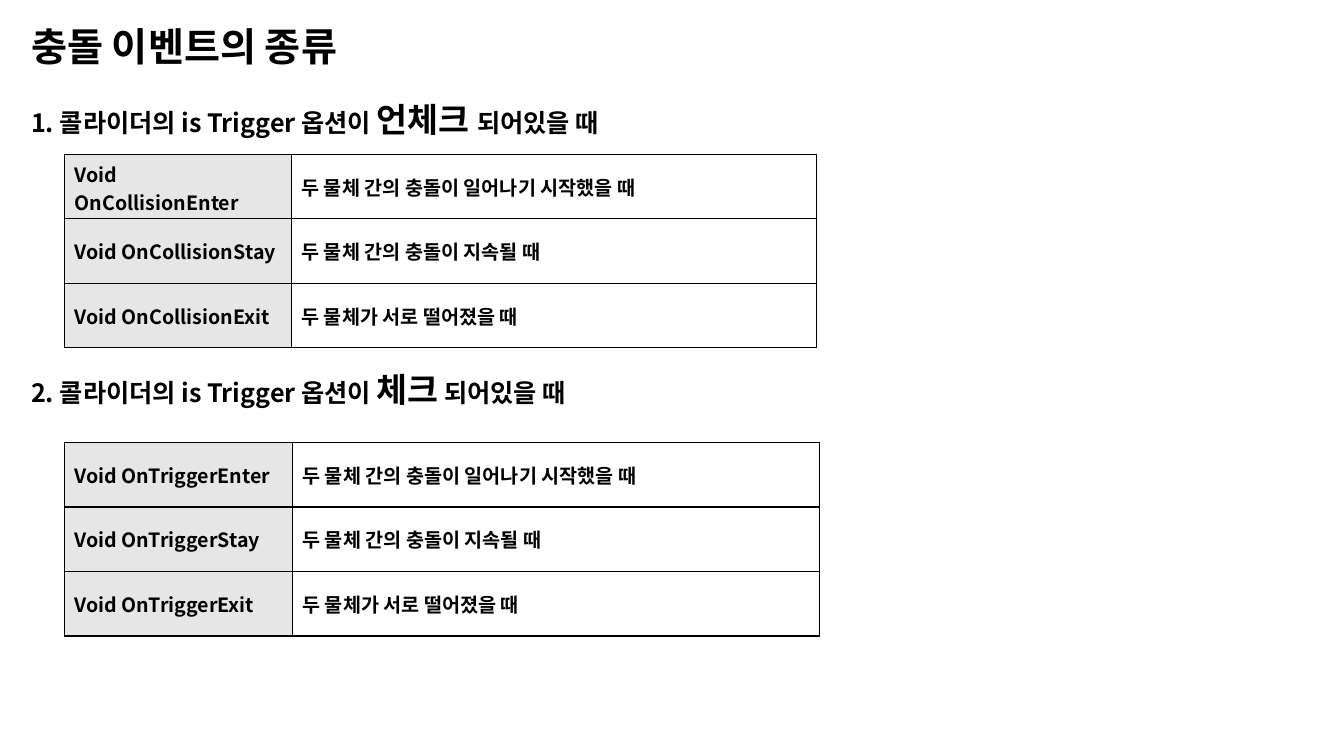
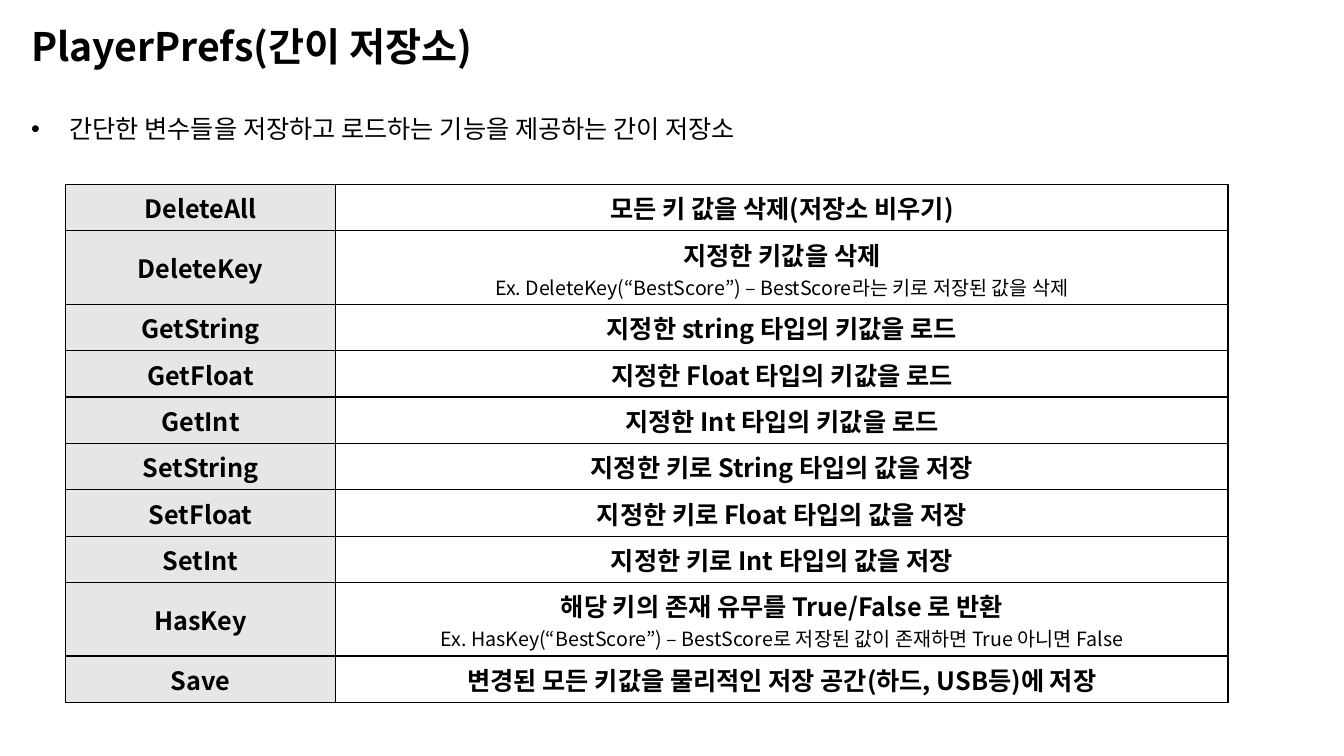
from dataclasses import dataclass

import pptx
import pptx.dml.color
import pptx.enum.text
import pptx.oxml
import pptx.oxml.ns
import pptx.slide
import pptx.table
import pptx.text.text
import pptx.util
from lxml import etree

Inches = pptx.util.Inches
Pt = pptx.util.Pt
Color = pptx.dml.color.RGBColor
Align = pptx.enum.text.PP_ALIGN
Anchor = pptx.enum.text.MSO_ANCHOR
qn = pptx.oxml.ns.qn


@dataclass(frozen=True)
class Theme:
    font: str = "Noto Sans CJK KR"
    ink: str = "000000"
    paper: str = "FFFFFF"
    label: str = "E7E6E6"
    title: int = 28
    accent: int = 24
    body: int = 18
    small: int = 14
    border: float = 1


THEME = Theme()


@dataclass(frozen=True)
class Run:
    text: str
    size: int = THEME.body
    bold: bool = True


@dataclass(frozen=True)
class Row:
    name: str
    text: str
    note: str = ""


@dataclass(frozen=True)
class Grid:
    left: float
    top: float
    cols: tuple[float, float]
    rows: tuple[Row, ...]
    size: int
    height: float
    tall: float = 0.73
    align: Align = Align.LEFT


def write(para: pptx.text.text._Paragraph, runs: list[Run]) -> None:
    for item in runs:
        run = para.add_run()
        run.text = item.text
        font = run.font
        font.name = THEME.font
        font.size = Pt(item.size)
        font.bold = item.bold
        font.color.rgb = Color.from_string(THEME.ink)
        asian = etree.SubElement(run._r.get_or_add_rPr(), qn("a:ea"))
        asian.set("typeface", THEME.font)


def add_text(slide: pptx.slide.Slide, top: float, width: float, height: float,
             runs: list[Run]) -> pptx.text.text._Paragraph:
    box = slide.shapes.add_textbox(Inches(0.21), Inches(top), Inches(width), Inches(height))
    box.text_frame.word_wrap = True
    para = box.text_frame.paragraphs[0]
    write(para, runs)
    return para


def add_title(slide: pptx.slide.Slide, text: str) -> None:
    add_text(slide, 0.17, 6.62, 0.57, [Run(text, THEME.title)])


def add_line(slide: pptx.slide.Slide, top: float,
             runs: list[Run]) -> pptx.text.text._Paragraph:
    """Add a line of body text across the slide."""
    return add_text(slide, top, 12.38, 0.5, runs)


def bullet(para: pptx.text.text._Paragraph) -> None:
    para.line_spacing = 1.5
    props = para._p.get_or_add_pPr()
    props.set("marL", str(Inches(0.38)))
    props.set("indent", str(-Inches(0.38)))
    etree.SubElement(props, qn("a:buFont")).set("typeface", "Arial")
    etree.SubElement(props, qn("a:buChar")).set("char", "•")


def frame(cell: pptx.table._Cell) -> None:
    """Draw the four borders of a cell."""
    props = cell._tc.get_or_add_tcPr()
    for place, side in enumerate("LRTB"):
        line = etree.Element(qn(f"a:ln{side}"), w=str(Pt(THEME.border)))
        fill = etree.SubElement(line, qn("a:solidFill"))
        etree.SubElement(fill, qn("a:srgbClr")).set("val", THEME.ink)
        props.insert(place, line)


def fill_cell(cell: pptx.table._Cell, runs: list[Run], color: str, align: Align) -> None:
    """Set a cell's look and write one paragraph per run."""
    cell.fill.solid()
    cell.fill.fore_color.rgb = Color.from_string(color)
    cell.vertical_anchor = Anchor.MIDDLE
    frame(cell)
    body = cell.text_frame
    for index, run in enumerate(runs):
        para = body.add_paragraph() if index else body.paragraphs[0]
        para.alignment = align
        write(para, [run])


def add_grid(slide: pptx.slide.Slide, grid: Grid) -> None:
    sizes = [grid.tall if row.note else grid.height for row in grid.rows]
    table = slide.shapes.add_table(
        len(grid.rows), len(grid.cols), Inches(grid.left), Inches(grid.top),
        Inches(sum(grid.cols)), Inches(sum(sizes))).table
    table.first_row = table.horz_banding = False
    for column, width in zip(table.columns, grid.cols):
        column.width = Inches(width)
    for index, (row, size) in enumerate(zip(grid.rows, sizes)):
        table.rows[index].height = Inches(size)
        texts = [Run(row.text, grid.size)]
        if row.note:
            texts.append(Run(row.note, THEME.small, False))
        fill_cell(table.cell(index, 0), [Run(row.name, grid.size)], THEME.label, grid.align)
        fill_cell(table.cell(index, 1), texts, THEME.paper, grid.align)


def add_events(slide: pptx.slide.Slide, kind: str, top: float,
               cols: tuple[float, float]) -> None:
    """Add the table of the enter, stay and exit events of one kind."""
    phases = (
        ("Enter", "두 물체 간의 충돌이 일어나기 시작했을 때"),
        ("Stay", "두 물체 간의 충돌이 지속될 때"),
        ("Exit", "두 물체가 서로 떨어졌을 때"),
    )
    rows = tuple(Row(f"Void On{kind}{phase}", text) for phase, text in phases)
    add_grid(slide, Grid(0.64, top, cols, rows, THEME.small, 0.64))


def add_events_slide(slide: pptx.slide.Slide) -> None:
    add_title(slide, "충돌 이벤트의 종류")
    heads = ((0.93, "1", "언체크 ", "되어있을 때"), (3.61, "2", "체크", " 되어있을 때"))
    for top, number, state, tail in heads:
        add_line(slide, top, [Run(f"{number}. 콜라이더의 is Trigger 옵션이 "),
                              Run(state, THEME.accent), Run(tail)])
    add_events(slide, "Collision", 1.53, (2.25, 5.21))
    add_events(slide, "Trigger", 4.39, (2.26, 5.23))


def add_prefs_slide(slide: pptx.slide.Slide) -> None:
    add_title(slide, "PlayerPrefs(간이 저장소)")
    intro = "간단한 변수들을 저장하고 로드하는 기능을 제공하는 간이 저장소"
    bullet(add_line(slide, 0.93, [Run(intro, bold=False)]))
    loads = [Row(f"Get{kind}", f"지정한 {word} 타입의 키값을 로드")
             for kind, word in (("String", "string"), ("Float", "Float"), ("Int", "Int"))]
    saves = [Row(f"Set{kind}", f"지정한 키로 {kind} 타입의 값을 저장")
             for kind in ("String", "Float", "Int")]
    rows = (
        Row("DeleteAll", "모든 키 값을 삭제(저장소 비우기)"),
        Row("DeleteKey", "지정한 키값을 삭제",
            "Ex. DeleteKey(“BestScore”) – BestScore라는 키로 저장된 값을 삭제"),
        *loads,
        *saves,
        Row("HasKey", "해당 키의 존재 유무를 True/False 로 반환",
            "Ex. HasKey(“BestScore”) – BestScore로 저장된 값이 존재하면 True 아니면 False"),
        Row("Save", "변경된 모든 키값을 물리적인 저장 공간(하드, USB등)에 저장"),
    )
    add_grid(slide, Grid(0.65, 1.83, (2.68, 8.85), rows, THEME.body, 0.46,
                         align=Align.CENTER))


def main() -> None:
    deck = pptx.Presentation()
    deck.slide_width, deck.slide_height = Inches(13.33), Inches(7.5)
    blank = deck.slide_layouts[6]
    for build in (add_events_slide, add_prefs_slide):
        build(deck.slides.add_slide(blank))
    deck.save("out.pptx")


if __name__ == "__main__":
    main()
